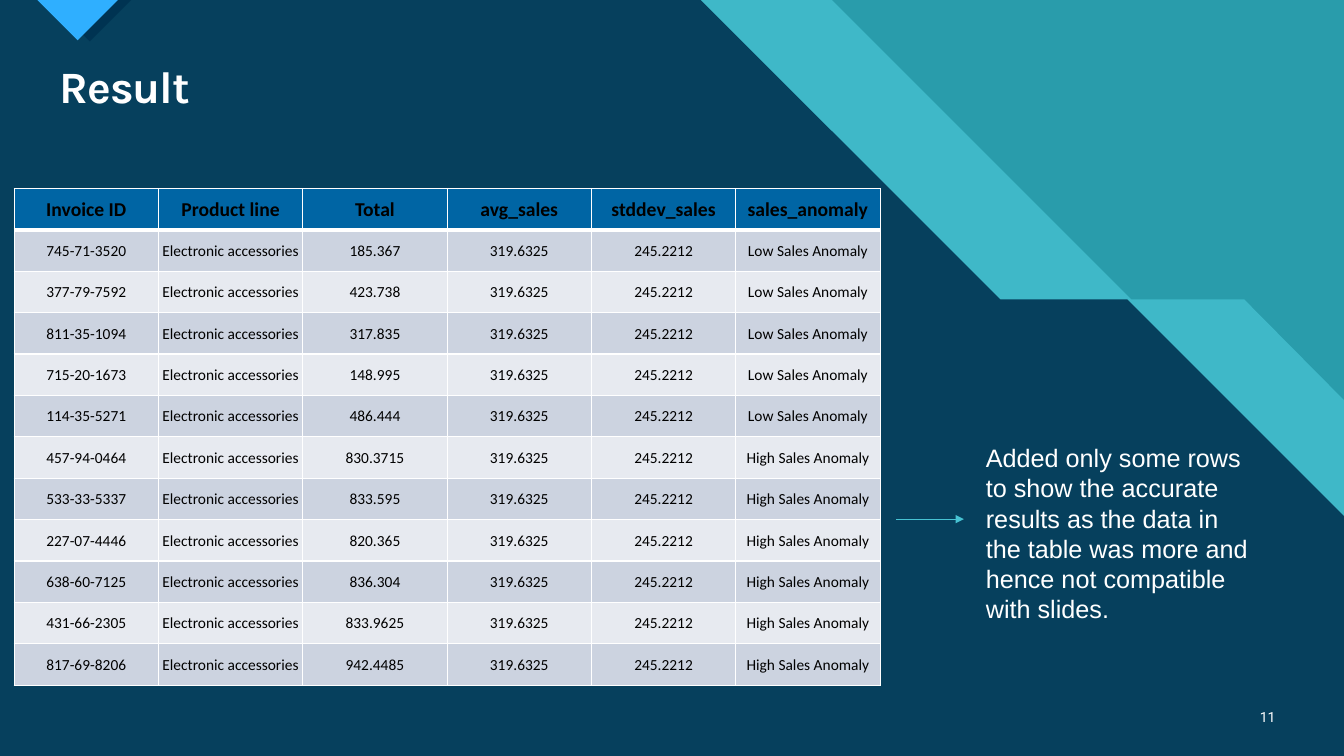
from lxml import etree
from pptx import Presentation
from pptx.dml import color
from pptx.enum import shapes, text
from pptx.oxml import ns
from pptx.util import Inches, Pt

WHITE, BLACK = "FFFFFF", "000000"
TEAL, LIGHT_TEAL, NAVY, SKY = "299CAB", "47C3D3", "003352", "2FAFFF"
HEADER_FILL, BANDS = "0065A4", ("CCD3E0", "E7EAF0")

HEADERS = ("Invoice ID", "Product line", "Total", "avg_sales", "stddev_sales", "sales_anomaly")
PRODUCT, AVERAGE, DEVIATION = "Electronic accessories", "319.6325", "245.2212"
INVOICES = {
    "Low Sales Anomaly": (
        ("745-71-3520", "185.367"),
        ("377-79-7592", "423.738"),
        ("811-35-1094", "317.835"),
        ("715-20-1673", "148.995"),
        ("114-35-5271", "486.444"),
    ),
    "High Sales Anomaly": (
        ("457-94-0464", "830.3715"),
        ("533-33-5337", "833.595"),
        ("227-07-4446", "820.365"),
        ("638-60-7125", "836.304"),
        ("431-66-2305", "833.9625"),
        ("817-69-8206", "942.4485"),
    ),
}
NOTE = (
    "Added only some rows",
    "to show the accurate",
    "results as the data in",
    "the table was more and hence not compatible with slides.",
)


def paint(target, value):
    """Give a fill or a line fill one solid colour."""
    target.solid()
    target.fore_color.rgb = color.RGBColor.from_string(value)


def add_run(paragraph, words, size, font, value=WHITE, bold=False):
    """Add one formatted run to a paragraph."""
    run = paragraph.add_run()
    run.text = words
    run.font.size, run.font.name, run.font.bold = Pt(size), font, bold
    paint(run.font.fill, value)
    return run


def place(shape, box):
    """Move and size a shape to a box in inches."""
    shape.left, shape.top, shape.width, shape.height = (Inches(length) for length in box)


def add_outline(slide, origin, points, value, opacity=100):
    """Draw a closed filled outline with points relative to the origin."""
    corners = [(Inches(origin[0] + x), Inches(origin[1] + y)) for x, y in points]
    builder = slide.shapes.build_freeform(*corners[0])
    builder.add_line_segments(corners[1:], close=True)
    shape = builder.convert_to_shape()
    shape.shadow.inherit = False
    shape.line.fill.background()
    paint(shape.fill, value)
    if opacity < 100:
        fill_color = shape.fill._xPr.find(".//" + ns.qn("a:srgbClr"))
        etree.SubElement(fill_color, ns.qn("a:alpha"), val=str(opacity * 1000))


def add_backdrop(slide, box):
    """Draw the stepped diagonal bands and the corner marker."""
    left, top, width, height = box
    paint(slide.background.fill, TEAL)
    for start, first, shelf, edge, value, opacity in (
        (8.25, 11.22, 12.34, 3.97, LIGHT_TEAL, 74),
        (6.95, 9.92, 11.18, 5.12, NAVY, 90),
    ):
        steps = ((0, 0), (start, 0), (first, 2.97), (shelf, 2.97),
                 (width, edge), (width, height), (0, height))
        add_outline(slide, (left, top), steps, value, opacity)
    for offset, half, value in ((0.48, 0.41, NAVY), (0.37, 0.4, SKY)):
        triangle = ((0, 0), (half, half), (2 * half, 0))
        add_outline(slide, (left + offset, top), triangle, value)


def add_title(slide, box):
    """Fill the title placeholder and bring it in front of the backdrop."""
    title = slide.shapes.title
    place(title, box)
    slide.shapes._spTree.append(title._element)
    frame = title.text_frame
    frame.vertical_anchor = text.MSO_ANCHOR.MIDDLE
    paragraph = frame.paragraphs[0]
    paragraph.alignment, paragraph.line_spacing = text.PP_ALIGN.LEFT, 0.9
    run = add_run(paragraph, "Result", 32, "Karla", bold=True)
    run.font._element.set("spc", "-70")


def add_text(slide, box, lines, size, font, alignment, anchor):
    """Add a wrapped text box with one paragraph per line."""
    frame = slide.shapes.add_textbox(*(Inches(length) for length in box)).text_frame
    frame.word_wrap, frame.vertical_anchor = True, anchor
    for index, line in enumerate(lines):
        paragraph = frame.add_paragraph() if index else frame.paragraphs[0]
        paragraph.alignment = alignment
        add_run(paragraph, line, size, font)


def add_borders(cell, top, bottom):
    """Give a cell white borders with its own top and bottom widths."""
    properties = cell._tc.get_or_add_tcPr()
    for side, points in (("L", 1), ("R", 1), ("T", top), ("B", bottom)):
        line = etree.SubElement(properties, ns.qn("a:ln" + side), w=str(Pt(points)))
        fill = etree.SubElement(line, ns.qn("a:solidFill"))
        etree.SubElement(fill, ns.qn("a:srgbClr"), val=WHITE)


def add_results(slide, box):
    """Build the banded table of invoices and their anomaly labels."""
    rows = [HEADERS] + [
        (invoice, PRODUCT, total, AVERAGE, DEVIATION, label)
        for label, entries in INVOICES.items()
        for invoice, total in entries
    ]
    lengths = [Inches(length) for length in box]
    table = slide.shapes.add_table(len(rows), len(HEADERS), *lengths).table
    for column in table.columns:
        column.width = lengths[2] // len(HEADERS)
    for index, values in enumerate(rows):
        is_header = index == 0
        table.rows[index].height = lengths[3] // len(rows)
        for cell, value in zip(table.rows[index].cells, values):
            add_borders(cell, 3 if index == 1 else 1, 3 if is_header else 1)
            paint(cell.fill, HEADER_FILL if is_header else BANDS[(index - 1) % 2])
            cell.margin_left = cell.margin_right = cell.margin_top = Inches(0.01)
            cell.margin_bottom = 0
            cell.vertical_anchor = text.MSO_ANCHOR.MIDDLE
            paragraph = cell.text_frame.paragraphs[0]
            paragraph.alignment = text.PP_ALIGN.CENTER
            add_run(paragraph, value, 14 if is_header else 11, "Calibri", BLACK, is_header)


def add_note(slide, box):
    """Place the remark with an arrow leading to it from the table."""
    left, top, width, height = box
    arrow_top = Inches(top + 0.81)
    arrow = slide.shapes.add_connector(
        shapes.MSO_CONNECTOR.STRAIGHT, Inches(left - 0.79), arrow_top,
        Inches(left - 0.12), arrow_top)
    paint(arrow.line.fill, LIGHT_TEAL)
    arrow.line.width = Pt(0.5)
    etree.SubElement(arrow.line._get_or_add_ln(), ns.qn("a:tailEnd"), type="triangle")
    etree.SubElement(arrow._element.spPr, ns.qn("a:effectLst"))
    add_text(slide, box, NOTE, 18, "Arial", text.PP_ALIGN.LEFT, text.MSO_ANCHOR.TOP)


def main():
    """Build and save the result slide."""
    presentation = Presentation()
    presentation.slide_width, presentation.slide_height = Inches(13.33), Inches(7.5)
    slide = presentation.slides.add_slide(presentation.slide_layouts[5])
    add_backdrop(slide, (0, 0, 13.33, 7.5))
    add_title(slide, (0.49, 0.59, 12.26, 0.59))
    add_text(slide, (12.31, 6.91, 0.44, 0.4), ("11",), 10, "Roboto",
             text.PP_ALIGN.RIGHT, text.MSO_ANCHOR.MIDDLE)
    add_results(slide, (0.14, 1.87, 8.59, 4.93))
    add_note(slide, (9.68, 4.34, 2.94, 1.92))
    presentation.save("out.pptx")


if __name__ == "__main__":
    main()
